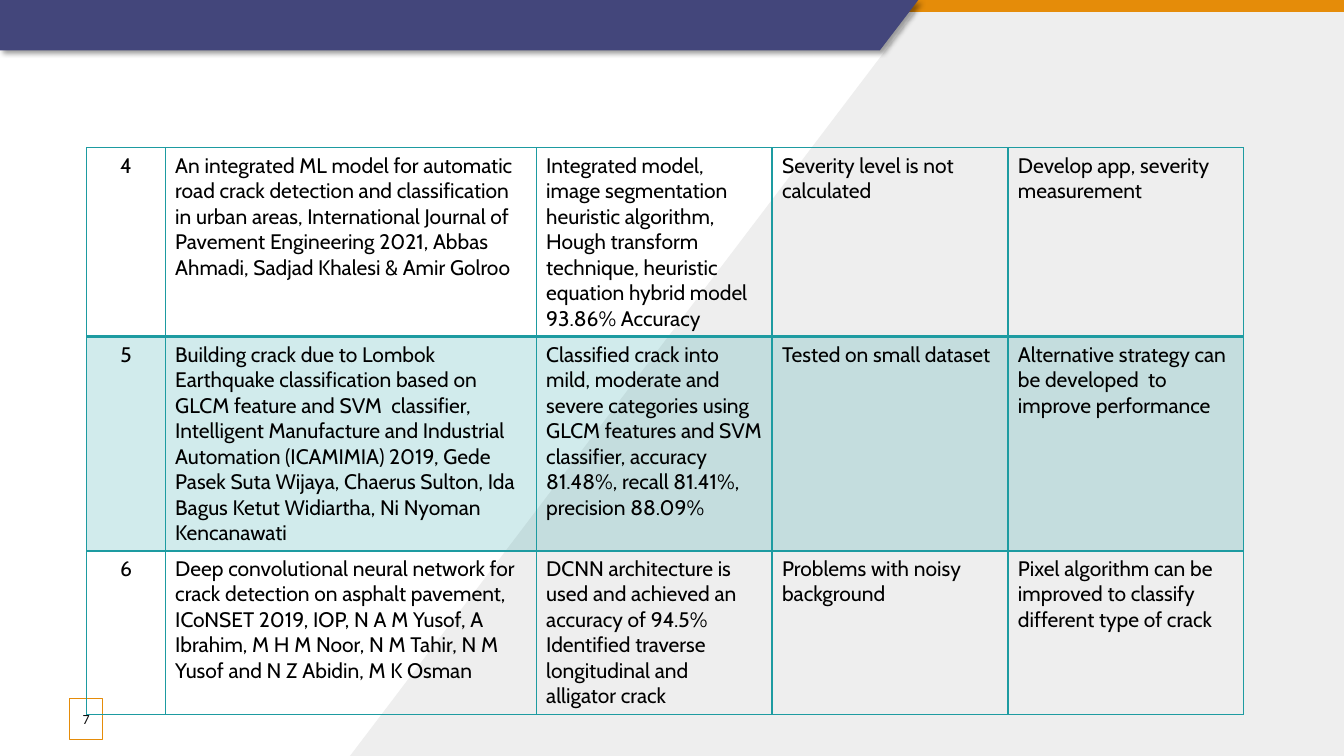
from lxml.etree import SubElement
from pptx import Presentation
from pptx.dml.color import RGBColor
from pptx.enum.shapes import MSO_SHAPE
from pptx.enum.text import MSO_ANCHOR, PP_ALIGN
from pptx.oxml.ns import qn
from pptx.util import Pt

BLACK = RGBColor(0x00, 0x00, 0x00)
INK = RGBColor(0x0D, 0x0D, 0x0D)
WHITE = RGBColor(0xFF, 0xFF, 0xFF)
GREY = RGBColor(0xEE, 0xEE, 0xEE)
ORANGE = RGBColor(0xE5, 0x8C, 0x09)
INDIGO = RGBColor(0x43, 0x46, 0x7B)
TEAL = RGBColor(0x1D, 0x9B, 0xA1)

PAPERS = [
    ("4",
     "An integrated ML model for automatic road crack detection and classification in urban areas, "
     "International Journal of Pavement Engineering 2021, Abbas Ahmadi, Sadjad Khalesi & Amir Golroo",
     "Integrated model, image segmentation heuristic algorithm, Hough transform technique, "
     "heuristic equation hybrid model 93.86% Accuracy",
     "Severity level is not calculated",
     "Develop app, severity measurement"),
    ("5",
     "Building crack due to Lombok Earthquake classification based on GLCM feature and SVM  classifier, "
     "Intelligent Manufacture and Industrial Automation (ICAMIMIA) 2019, Gede Pasek Suta Wijaya, "
     "Chaerus Sulton, Ida Bagus Ketut Widiartha, Ni Nyoman Kencanawati",
     "Classified crack into mild, moderate and severe categories using GLCM features and SVM classifier, "
     "accuracy 81.48%, recall 81.41%, precision 88.09%",
     "Tested on small dataset",
     "Alternative strategy can be developed  to improve performance"),
    ("6",
     "Deep convolutional neural network for crack detection on asphalt pavement, ICoNSET 2019, IOP, "
     "N A M Yusof, A Ibrahim, M H M Noor, N M Tahir, N M Yusof and N Z Abidin, M K Osman",
     "DCNN architecture is used and achieved an  accuracy of 94.5%\n"
     "Identified traverse longitudinal and alligator crack",
     "Problems with noisy background",
     "Pixel algorithm can be improved to classify different type of crack"),
]
PAGE_NUMBER = "7"

SLIDE_W, SLIDE_H = 960, 540
COLUMN_WIDTHS = [56, 265, 168.5, 168.5, 168.5]
ROW_HEIGHTS = [135, 152.5, 117]
TABLE_LEFT, TABLE_TOP = 62, 105.5
BANNER_EDGE = 656
WEDGE = [(BANNER_EDGE, 0), (SLIDE_W, 0), (SLIDE_W, SLIDE_H), (250, SLIDE_H), (BANNER_EDGE, 5)]
BANNER = [(0, 0), (BANNER_EDGE, 0), (628.5, 36), (0, 36)]

CELL_FONT = {"name": "Cabin", "size": Pt(15)}
NUMBER_FONT = {"name": "Calibri", "size": Pt(10)}


def style_font(paragraph, font_values, colour):
    for attribute, value in font_values.items():
        setattr(paragraph.font, attribute, value)
    paragraph.font.color.rgb = colour


def fill_solid(fill, parent, colour, opacity=100):
    """Fill with a colour; parent is the XML element that holds the fill."""
    fill.solid()
    fill.fore_color.rgb = colour
    if opacity < 100:
        srgb = parent.find(qn("a:solidFill")).find(qn("a:srgbClr"))
        SubElement(srgb, qn("a:alpha"), val=str(opacity * 1000))


def finish_shape(shape, colour, opacity=100):
    shape.shadow.inherit = False
    fill_solid(shape.fill, shape._element.spPr, colour, opacity)
    shape.line.fill.background()
    return shape


def add_polygon(slide, corners, colour):
    points = [(Pt(x), Pt(y)) for x, y in corners]
    builder = slide.shapes.build_freeform(*points[0])
    builder.add_line_segments(points[1:], close=True)
    return finish_shape(builder.convert_to_shape(), colour)


def add_rectangle(slide, left, top, width, height, colour, opacity=100):
    rectangle = slide.shapes.add_shape(
        MSO_SHAPE.RECTANGLE, Pt(left), Pt(top), Pt(width), Pt(height))
    return finish_shape(rectangle, colour, opacity)


def cast_shadow(shape):
    effects = shape._element.spPr.find(qn("a:effectLst"))
    shadow = SubElement(effects, qn("a:outerShdw"), blurRad=str(Pt(4)), dist=str(Pt(3)),
                        dir=str(45 * 60000), algn="tl", rotWithShape="0")
    colour = SubElement(shadow, qn("a:srgbClr"), val=str(BLACK))
    SubElement(colour, qn("a:alpha"), val="40000")


def add_borders(cell, widths):
    properties = cell._tc.get_or_add_tcPr()
    for side, width in widths.items():
        border = SubElement(properties, qn("a:ln" + side), w=str(Pt(width)))
        paint = SubElement(border, qn("a:solidFill"))
        SubElement(paint, qn("a:srgbClr"), val=str(TEAL))


def add_page_number(slide):
    box = add_rectangle(slide, 49.5, 499, 24, 29, WHITE, 82)
    box.line.color.rgb = ORANGE
    box.line.width = Pt(0.75)
    frame = box.text_frame
    frame.margin_left = frame.margin_right = 0
    frame.vertical_anchor = MSO_ANCHOR.MIDDLE
    frame.text = PAGE_NUMBER
    frame.paragraphs[0].alignment = PP_ALIGN.CENTER
    style_font(frame.paragraphs[0], NUMBER_FONT, INK)


def add_papers_table(slide):
    table = slide.shapes.add_table(
        len(PAPERS), len(COLUMN_WIDTHS), Pt(TABLE_LEFT), Pt(TABLE_TOP),
        Pt(sum(COLUMN_WIDTHS)), Pt(sum(ROW_HEIGHTS))).table
    table.first_row = table.horz_banding = False
    for column, width in zip(table.columns, COLUMN_WIDTHS):
        column.width = Pt(width)
    for row_index, (row, height, paper) in enumerate(zip(table.rows, ROW_HEIGHTS, PAPERS)):
        row.height = Pt(height)
        for column_index, (cell, wording) in enumerate(zip(row.cells, paper)):
            cell.text = wording
            for paragraph in cell.text_frame.paragraphs:
                paragraph.alignment = PP_ALIGN.LEFT if column_index else PP_ALIGN.CENTER
                style_font(paragraph, CELL_FONT, BLACK)
            add_borders(cell, {"L": 1, "R": 1,
                               "T": 2 if row_index == 1 else 1,
                               "B": 2 if row_index == 0 else 1})
            if row_index % 2:
                fill_solid(cell.fill, cell._tc.tcPr, TEAL, 20)
            else:
                cell.fill.background()


def main():
    presentation = Presentation()
    presentation.slide_width, presentation.slide_height = Pt(SLIDE_W), Pt(SLIDE_H)
    slide = presentation.slides.add_slide(presentation.slide_layouts[6])
    add_polygon(slide, WEDGE, GREY)
    add_rectangle(slide, 0, 0, SLIDE_W, 8.5, ORANGE)
    cast_shadow(add_polygon(slide, BANNER, INDIGO))
    add_page_number(slide)
    add_papers_table(slide)
    presentation.save("out.pptx")


if __name__ == "__main__":
    main()
